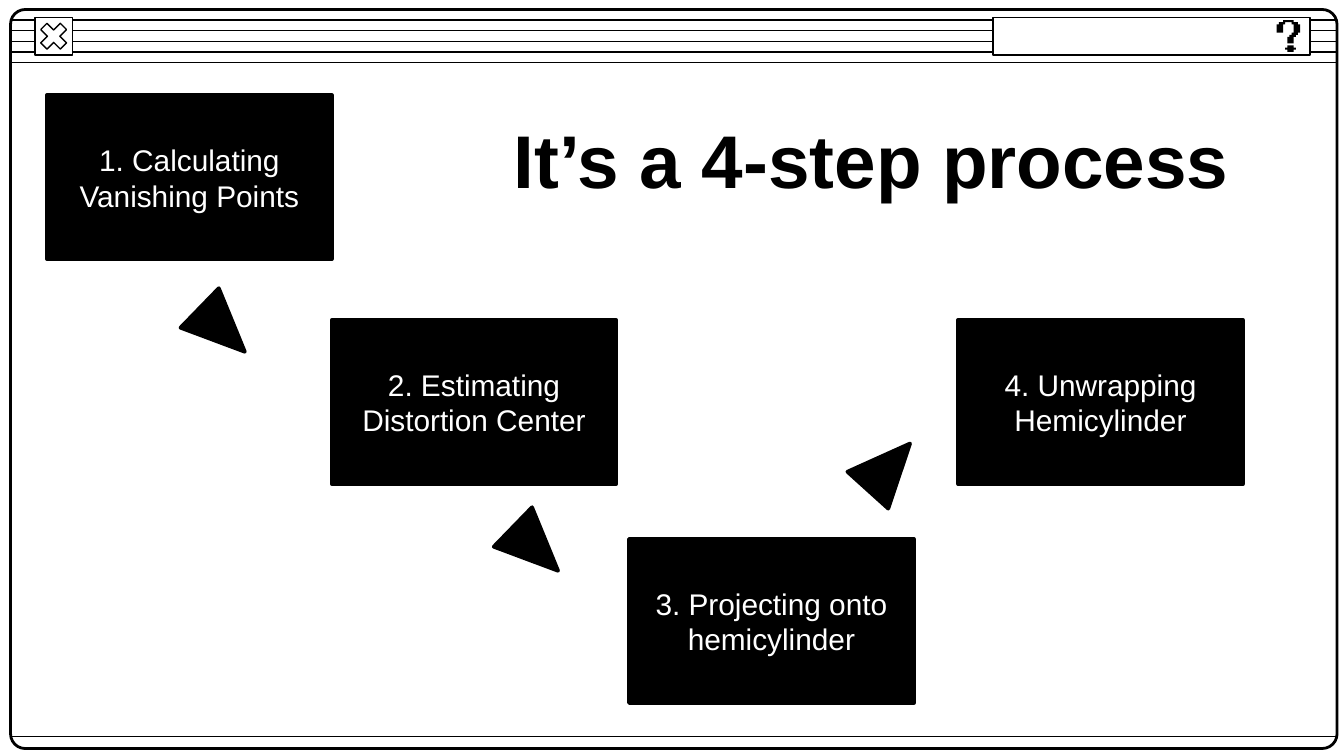
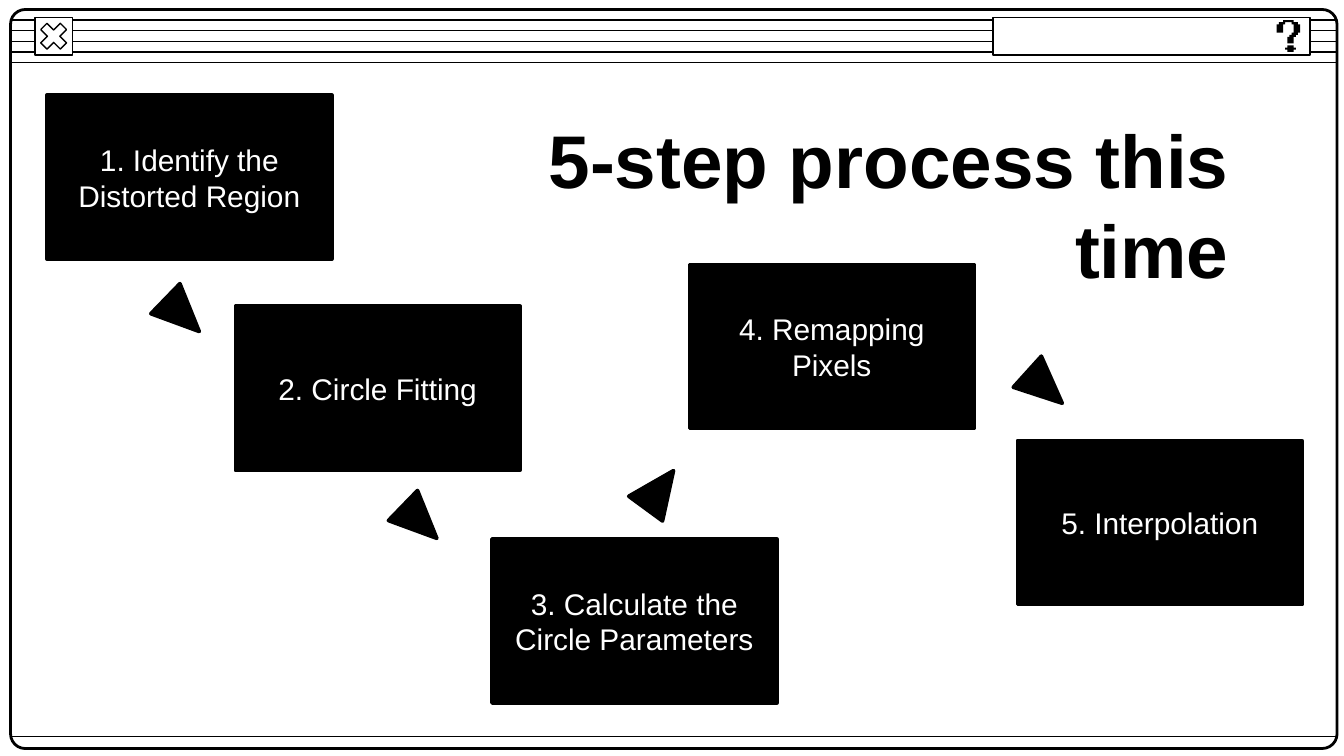
import pptx
import pptx.dml.color
import pptx.enum.shapes
import pptx.enum.text
import pptx.oxml
import pptx.util

Cm = pptx.util.Cm
Pt = pptx.util.Pt
SHAPES = pptx.enum.shapes.MSO_SHAPE
ALIGN = pptx.enum.text.PP_ALIGN
ANCHOR = pptx.enum.text.MSO_ANCHOR

COLORS = {"ink": "000000", "paper": "FFFFFF"}
HOOK = [
    (3, 0), (3, 1), (1, 1), (1, 2), (0, 2), (0, 6), (3, 6), (3, 2),
    (4, 2), (4, 1), (7, 1), (7, 2), (8, 2), (8, 6), (7, 6), (7, 7),
    (6, 7), (6, 8), (5, 8), (5, 11), (8, 11), (8, 8), (9, 8), (9, 7),
    (10, 7), (10, 6), (11, 6), (11, 2), (10, 2), (10, 1), (8, 1), (8, 0),
]
DOT = [
    (5, 12), (5, 13), (4, 13), (4, 14), (5, 14), (5, 15),
    (8, 15), (8, 14), (9, 14), (9, 13), (8, 13), (8, 12),
]
PROCESSES = [
    {
        "title": "It’s a 4-step process",
        "title_height": 1.96,
        "steps": [
            ("1. Calculating Vanishing Points", 0.89, 1.8),
            ("2. Estimating Distortion Center", 6.27, 6.05),
            ("3. Projecting onto hemicylinder", 11.89, 10.19),
            ("4. Unwrapping Hemicylinder", 18.11, 6.05),
        ],
        "arrow_size": (1.04, 1.19),
        "arrows": [(3.68, 5.64, 134.1), (9.6, 9.78, 134.1), (16.28, 8.23, 42.1)],
    },
    {
        "title": "5-step process this time",
        "title_height": 3.68,
        "steps": [
            ("1. Identify the Distorted Region", 0.89, 1.8),
            ("2. Circle Fitting", 4.45, 5.79),
            ("3. Calculate the Circle Parameters", 9.3, 10.19),
            ("4. Remapping Pixels", 13.03, 5),
            ("5. Interpolation", 19.23, 8.33),
        ],
        "arrow_size": (0.79, 0.89),
        "arrows": [
            (3.05, 5.51, 134.1), (7.54, 9.42, 134.1),
            (12.07, 8.81, 36.3), (19.35, 6.88, 132.1),
        ],
    },
]


class ProcessDeck:
    """Draws process slides inside a retro window frame."""

    font_name = "Arial"

    def __init__(self):
        self.deck = pptx.Presentation()
        self.deck.slide_width = Cm(25.4)
        self.deck.slide_height = Cm(14.29)
        self.slide = None

    def color(self, name):
        return pptx.dml.color.RGBColor.from_string(COLORS[name])

    def paint(self, shape, fill, width):
        shape.shadow.inherit = False
        if fill:
            shape.fill.solid()
            shape.fill.fore_color.rgb = self.color(fill)
        else:
            shape.fill.background()
        if width:
            shape.line.color.rgb = self.color("ink")
            shape.line.width = Pt(width)
        else:
            shape.line.fill.background()

    def shape(self, preset, left, top, width, height, fill, line_width):
        shape = self.slide.shapes.add_shape(
            preset, Cm(left), Cm(top), Cm(width), Cm(height))
        self.paint(shape, fill, line_width)
        return shape

    def rule(self, top):
        rule = self.slide.shapes.add_connector(
            pptx.enum.shapes.MSO_CONNECTOR.STRAIGHT,
            Cm(0.2), Cm(top), Cm(25.27), Cm(top))
        rule.line.color.rgb = self.color("ink")
        rule.line.width = Pt(0.75)
        rule._element.spPr.append(pptx.oxml.parse_xml(
            '<a:effectLst xmlns:a='
            '"http://schemas.openxmlformats.org/drawingml/2006/main"/>'))

    def pixels(self, corners):
        builder = self.slide.shapes.build_freeform(*corners[0], scale=Cm(0.04))
        builder.add_line_segments(corners[1:], close=True)
        self.paint(builder.convert_to_shape(Cm(24.13), Cm(0.38)), "ink", None)

    def add_text(self, frame, text, size, color, align, bold=False):
        frame.word_wrap = True
        paragraph = frame.paragraphs[0]
        paragraph.alignment = align
        run = paragraph.add_run()
        run.text = text
        run.font.name = self.font_name
        run.font.size = Pt(size)
        run.font.bold = bold
        run.font.color.rgb = self.color(color)

    def window(self):
        for row in range(5):
            self.rule(0.38 + 0.2 * row)
        frame = self.shape(SHAPES.ROUNDED_RECTANGLE, 0.2, 0.18, 25.07, 13.97, None, 1.5)
        frame.adjustments[0] = 0.02
        close_button = (0.66, 0.33, 0.71, 0.71)
        self.shape(SHAPES.RECTANGLE, *close_button, "paper", 0.75)
        cross = self.shape(SHAPES.MATH_MULTIPLY, *close_button, "paper", 0.75)
        cross.adjustments[0] = 0.235
        self.rule(13.92)
        self.shape(SHAPES.RECTANGLE, 18.77, 0.33, 5.99, 0.71, "paper", 0.75)
        self.pixels(DOT)
        self.pixels(HOOK)

    def title(self, text, height):
        title = self.slide.shapes.title
        title.left, title.top = Cm(8.36), Cm(2.03)
        title.width, title.height = Cm(15.11), Cm(height)
        frame = title.text_frame
        frame.vertical_anchor = ANCHOR.TOP
        frame.auto_size = pptx.enum.text.MSO_AUTO_SIZE.SHAPE_TO_FIT_TEXT
        self.add_text(frame, text, 40, "ink", ALIGN.RIGHT, bold=True)

    def step(self, text, left, top):
        step = self.shape(SHAPES.RECTANGLE, left, top, 5.38, 3.1, "ink", 2)
        step.text_frame.vertical_anchor = ANCHOR.MIDDLE
        self.add_text(step.text_frame, text, 16, "paper", ALIGN.CENTER)

    def arrow(self, left, top, rotation, size):
        arrow = self.shape(SHAPES.ISOSCELES_TRIANGLE, left, top, *size, "ink", 2)
        arrow.rotation = rotation

    def process(self, content):
        self.slide = self.deck.slides.add_slide(self.deck.slide_layouts[5])
        self.slide.background.fill.solid()
        self.slide.background.fill.fore_color.rgb = self.color("paper")
        self.window()
        self.title(content["title"], content["title_height"])
        for step in content["steps"]:
            self.step(*step)
        for arrow in content["arrows"]:
            self.arrow(*arrow, content["arrow_size"])


def main():
    process_deck = ProcessDeck()
    for content in PROCESSES:
        process_deck.process(content)
    process_deck.deck.save("out.pptx")


if __name__ == "__main__":
    main()
